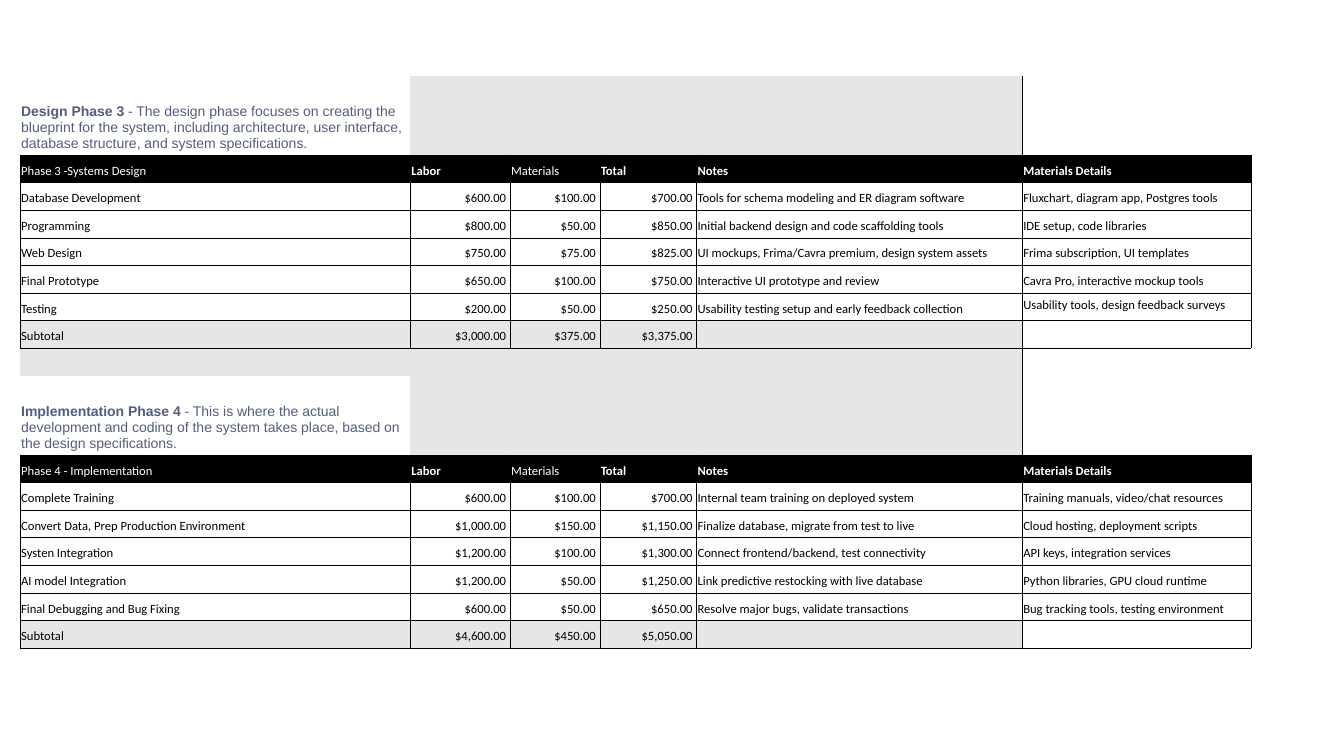
from lxml.etree import SubElement as Sub
from pptx import Presentation
from pptx.dml.color import RGBColor
from pptx.enum.text import MSO_ANCHOR as Anchor, PP_ALIGN as Align
from pptx.oxml.ns import qn
from pptx.util import Inches, Pt

WIDE, HIGH = 13.33, 7.5
LEFT, TOP, TALL = 0.2, 0.75, 5.68
COLS = [3.87, 0.99, 0.89, 0.96, 3.23, 2.27]
INTRO = 0.79
NO_STYLE = "{2D5ABB26-0587-4C30-8999-92F81FD0307C}"
BLACK, WHITE, GREY, SLATE = "000000", "FFFFFF", "E7E6E6", "545D7E"
THIN, THICK = 0.5, 1
GRID = dict(L=THIN, R=THIN, T=THIN, B=THIN)
HEADS = ["Labor", "Materials", "Total", "Notes", "Materials Details"]

# Each task: name, labor, materials, notes, details
PHASES = [
    ("Design Phase 3",
     " - The design phase focuses on creating the blueprint for the system, "
     "including architecture, user interface, database structure, and system specifications.",
     "Phase 3 -Systems Design",
     [("Database Development", 600, 100, "Tools for schema modeling and ER diagram software",
       "Fluxchart, diagram app, Postgres tools"),
      ("Programming", 800, 50, "Initial backend design and code scaffolding tools",
       "IDE setup, code libraries"),
      ("Web Design", 750, 75, "UI mockups, Frima/Cavra premium, design system assets",
       "Frima subscription, UI templates"),
      ("Final Prototype", 650, 100, "Interactive UI prototype and review",
       "Cavra Pro, interactive mockup tools"),
      ("Testing", 200, 50, "Usability testing setup and early feedback collection",
       "Usability tools, design feedback surveys")]),
    ("Implementation Phase 4",
     " - This is where the actual development and coding of the system takes place, "
     "based on the design specifications.",
     "Phase 4 - Implementation",
     [("Complete Training", 600, 100, "Internal team training on deployed system",
       "Training manuals, video/chat resources"),
      ("Convert Data, Prep Production Environment", 1000, 150,
       "Finalize database, migrate from test to live", "Cloud hosting, deployment scripts"),
      ("Systen Integration", 1200, 100, "Connect frontend/backend, test connectivity",
       "API keys, integration services"),
      ("AI model Integration", 1200, 50, "Link predictive restocking with live database",
       "Python libraries, GPU cloud runtime"),
      ("Final Debugging and Bug Fixing", 600, 50, "Resolve major bugs, validate transactions",
       "Bug tracking tools, testing environment")]),
]


def color(code):
    return RGBColor.from_string(code)


def write(cell, text, size=9, font="Calibri", ink=BLACK, bold=False, align=Align.LEFT):
    para = cell.text_frame.paragraphs[0]
    para.alignment = align
    run = para.add_run()
    run.text = text
    run.font.size, run.font.name, run.font.bold = Pt(size), font, bold
    run.font.color.rgb = color(ink)


def edge(cell, lines):
    """Draw the given sides of a cell and clear the rest; lines maps L, R, T, B to points."""
    props = cell._tc.get_or_add_tcPr()
    for side in "LRTB":
        line = Sub(props, qn("a:ln" + side), w=str(Pt(lines.get(side, 0))))
        if side in lines:
            Sub(Sub(line, qn("a:solidFill")), qn("a:srgbClr"), val=BLACK)
        else:
            Sub(line, qn("a:noFill"))


def dress(cell, fill=None, lines=GRID):
    edge(cell, lines)
    if fill:
        cell.fill.solid()
        cell.fill.fore_color.rgb = color(fill)
    else:
        cell.fill.background()
    cell.margin_left = cell.margin_right = cell.margin_top = Inches(0.01)
    cell.margin_bottom = Inches(0.04)
    cell.vertical_anchor = Anchor.BOTTOM


def blank(cell):
    """Keep an empty cell from stretching its row."""
    Sub(cell.text_frame.paragraphs[0]._p, qn("a:endParaRPr"), sz="900")


def band(cells, side, first=None):
    """Dress a row between the grids, ruled on one side only."""
    fills = [first] + [GREY] * 4 + [WHITE]
    for col, (cell, fill) in enumerate(zip(cells, fills)):
        lines = {side: THIN}
        if col == 4:
            lines["R"] = THICK
        elif col == 5:
            lines["L"] = THICK
        dress(cell, fill, lines)
        if fill:
            blank(cell)


def intro(cells, title, text):
    band(cells, "B")
    write(cells[0], title, size=10, font="Arial", ink=SLATE, bold=True)
    write(cells[0], text, size=10, font="Arial", ink=SLATE)


def header(cells, name):
    for cell, text in zip(cells, [name] + HEADS):
        dress(cell, BLACK)
        write(cell, text, ink=WHITE, bold=text not in (name, "Materials"))


def entry(cells, name, labor, goods, notes="", details="", fills=(None,) * 6):
    values = [name, labor, goods, labor + goods, notes, details]
    for cell, value, fill in zip(cells, values, fills):
        dress(cell, fill)
        if value == "":
            blank(cell)
        elif isinstance(value, int):
            write(cell, f"${value:,.2f}", align=Align.RIGHT)
            cell.margin_right = Inches(0.04)
        else:
            write(cell, value)


def phase(rows, title, text, name, tasks):
    intro(next(rows), title, text)
    header(next(rows), name)
    for task in tasks:
        cells = next(rows)
        entry(cells, *task)
        if task[0] == "Testing":
            cells[5].vertical_anchor = Anchor.MIDDLE
    labor, goods = (sum(task[i] for task in tasks) for i in (1, 2))
    entry(next(rows), "Subtotal", labor, goods, fills=[GREY] * 5 + [WHITE])


def grid(slide):
    """Add the bare table and return it."""
    block = len(PHASES[0][3]) + 3
    count = 2 * block + 1
    step = (TALL - 2 * INTRO) / (count - 2)
    table = slide.shapes.add_table(count, len(COLS), Inches(LEFT), Inches(TOP),
                                   Inches(sum(COLS)), Inches(TALL)).table
    table._tbl.tblPr[0].text = NO_STYLE
    table.first_row = table.horz_banding = False
    for col, width in zip(table.columns, COLS):
        col.width = Inches(width)
    for i, row in enumerate(table.rows):
        row.height = Inches(INTRO if i in (0, block + 1) else step)
    return table


def main():
    deck = Presentation()
    deck.slide_width, deck.slide_height = Inches(WIDE), Inches(HIGH)
    slide = deck.slides.add_slide(deck.slide_layouts[6])
    rows = iter([list(row.cells) for row in grid(slide).rows])
    design, build = PHASES
    phase(rows, *design)
    band(next(rows), "T", first=GREY)
    phase(rows, *build)
    deck.save("out.pptx")


if __name__ == "__main__":
    main()
